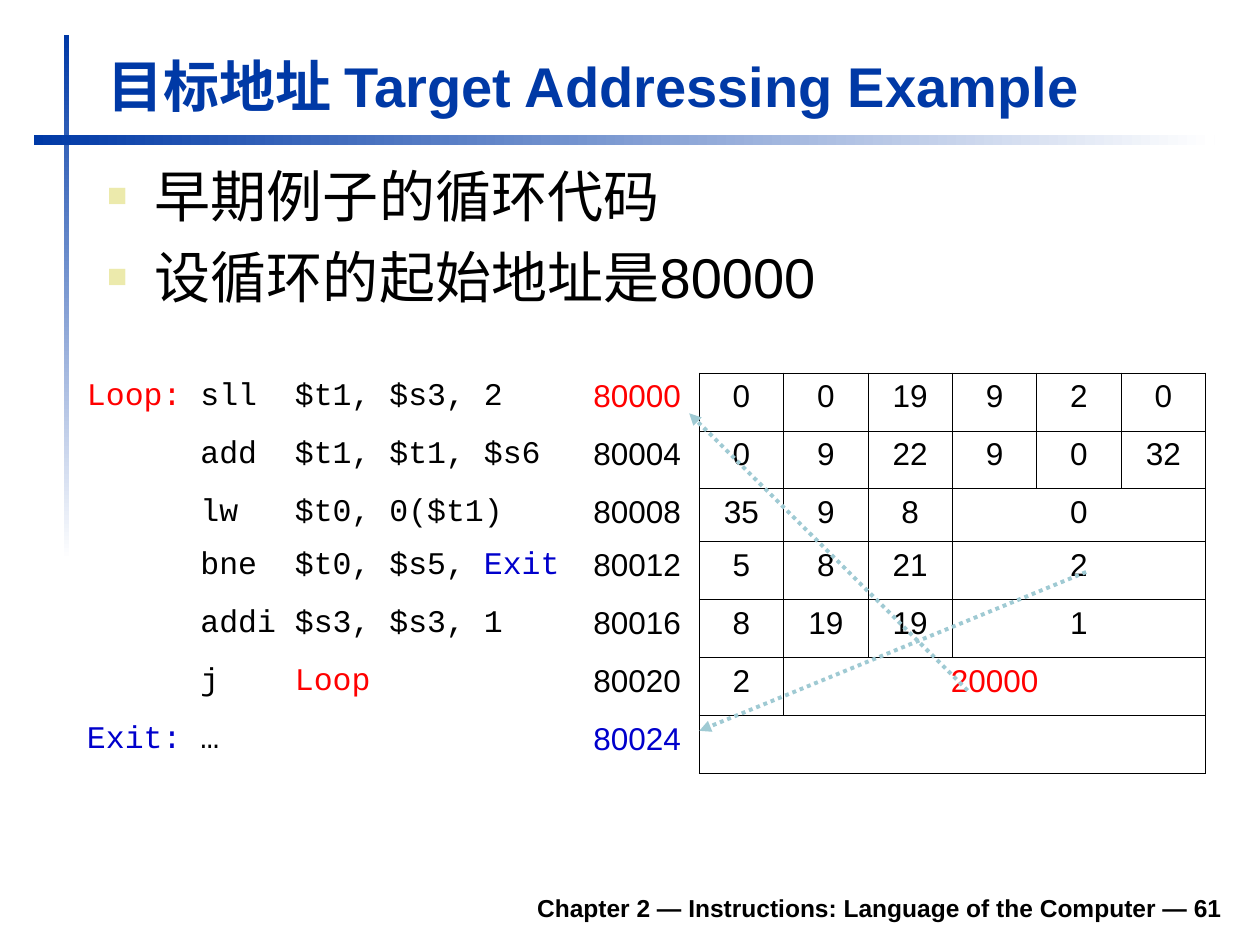
from lxml.etree import SubElement
from pptx import Presentation
from pptx.dml.color import RGBColor
from pptx.enum.dml import MSO_LINE_DASH_STYLE as Dash
from pptx.enum.shapes import MSO_CONNECTOR as Connector, MSO_SHAPE as Shape
from pptx.enum.text import MSO_ANCHOR as Anchor, MSO_AUTO_SIZE as AutoSize, PP_ALIGN as Align
from pptx.oxml.ns import qn
from pptx.util import Inches, Pt

BLUE = RGBColor(0x00, 0x39, 0xA6)
LABEL_BLUE = RGBColor(0x00, 0x00, 0xCC)
RED = RGBColor(0xFF, 0x00, 0x00)
BLACK = RGBColor(0x00, 0x00, 0x00)
WHITE = RGBColor(0xFF, 0xFF, 0xFF)
KHAKI = RGBColor(0xEC, 0xEA, 0xAC)
TEAL = RGBColor(0x9F, 0xCA, 0xD3)

TITLE_FONT = {"name": "Arial", "size": Pt(32), "bold": True}
BODY_FONT = {"name": "Arial", "size": Pt(32)}
FOOTER_FONT = {"name": "Arial", "size": Pt(14), "bold": True}
CODE_FONT = {"name": "Courier New", "size": Pt(18), "bold": False}
CELL_FONT = {"name": "Arial", "size": Pt(18), "bold": False}

CODE_WIDTH, ADDRESS_WIDTH, FIELD_WIDTH = 4.02, 0.94, 0.67
FIELD_COUNT = 6
ROW_HEIGHTS = [0.46, 0.46, 0.42, 0.46, 0.46, 0.46, 0.46]
FIRST_ADDRESS = 80000
ADDRESS_COLORS = {80000: RED, 80024: LABEL_BLUE}
INSTRUCTIONS = [
    ([("Loop:", RED), (" sll  $t1, $s3, 2", BLACK)], ["0", "0", "19", "9", "2", "0"]),
    ([("      add  $t1, $t1, $s6", BLACK)], ["0", "9", "22", "9", "0", "32"]),
    ([("      lw   $t0, 0($t1)", BLACK)], ["35", "9", "8", "0"]),
    ([("      bne  $t0, $s5, ", BLACK), ("Exit", LABEL_BLUE)], ["5", "8", "21", "2"]),
    ([("      addi $s3, $s3, 1", BLACK)], ["8", "19", "19", "1"]),
    ([("      j    ", BLACK), ("Loop", RED)], ["2", "20000"]),
    ([("Exit:", LABEL_BLUE), (" …", BLACK)], [""]),
]


def add_span(para, text, color, font_format):
    span = para.add_run()
    span.text = text
    for name, value in font_format.items():
        setattr(span.font, name, value)
    span.font.color.rgb = color


def place(shape, box):
    for name, value in zip(("left", "top", "width", "height"), box):
        setattr(shape, name, Inches(value))


def format_frame(frame, anchor):
    settings = {"word_wrap": True, "auto_size": AutoSize.NONE, "vertical_anchor": anchor}
    for name, value in settings.items():
        setattr(frame, name, value)


def add_bar(page, box, angle):
    bar = page.shapes.add_shape(Shape.RECTANGLE, *map(Inches, box))
    bar.shadow.inherit = False
    bar.line.fill.background()
    bar.fill.gradient()
    bar.fill.gradient_angle = angle
    for stop, color in zip(bar.fill.gradient_stops, (BLUE, WHITE)):
        stop.color.rgb = color


def fill_title(page, box):
    title = page.shapes.title
    place(title, box)
    format_frame(title.text_frame, Anchor.BOTTOM)
    para = title.text_frame.paragraphs[0]
    para.alignment = Align.LEFT
    add_span(para, "目标地址 Target Addressing Example", BLUE, TITLE_FONT)


def set_bullet(para):
    properties = para._p.get_or_add_pPr()
    properties.set("marL", str(Inches(0.38)))
    properties.set("indent", str(-Inches(0.38)))
    color = SubElement(properties, qn("a:buClr"))
    SubElement(color, qn("a:srgbClr"), val=str(KHAKI))
    SubElement(properties, qn("a:buSzPct"), val="60000")
    SubElement(properties, qn("a:buFont"), typeface="Arial")
    SubElement(properties, qn("a:buChar"), char="■")


def fill_body(page, box):
    body = page.placeholders[1]
    place(body, box)
    frame = body.text_frame
    format_frame(frame, Anchor.TOP)
    for index, text in enumerate(["早期例子的循环代码", "设循环的起始地址是80000"]):
        para = frame.add_paragraph() if index else frame.paragraphs[0]
        set_bullet(para)
        para.space_before = Pt(8 if index else 0)
        add_span(para, text, BLACK, BODY_FONT)


def add_footer(page, box):
    frame = page.shapes.add_textbox(*map(Inches, box)).text_frame
    format_frame(frame, Anchor.BOTTOM)
    para = frame.paragraphs[0]
    para.alignment = Align.RIGHT
    add_span(para, "Chapter 2 — Instructions: Language of the Computer — 61", BLACK, FOOTER_FONT)


def set_borders(cell, colors):
    properties = cell._tc.get_or_add_tcPr()
    for side, color in zip("LRTB", colors):
        line = SubElement(properties, qn(f"a:ln{side}"), w=str(Pt(0.45)))
        fill = SubElement(line, qn("a:solidFill"))
        SubElement(fill, qn("a:srgbClr"), val=str(color))
    cell.fill.background()


def fill_row(table, row, code, fields):
    address = FIRST_ADDRESS + 4 * row
    for column in range(2 + FIELD_COUNT):
        right = WHITE if column == 0 else BLACK
        other = WHITE if column < 2 else BLACK
        left = BLACK if column >= 2 else WHITE
        set_borders(table.cell(row, column), (left, right, other, other))
    for text, color in code:
        add_span(table.cell(row, 0).text_frame.paragraphs[0], text, color, CODE_FONT)
    add_span(table.cell(row, 1).text_frame.paragraphs[0], str(address),
             ADDRESS_COLORS.get(address, BLACK), CELL_FONT)
    last = 1 + len(fields)
    if len(fields) < FIELD_COUNT:
        table.cell(row, last).merge(table.cell(row, 1 + FIELD_COUNT))
    for column, text in enumerate(fields, start=2):
        if text:
            para = table.cell(row, column).text_frame.paragraphs[0]
            para.alignment = Align.CENTER
            add_span(para, text, RED if text == "20000" else BLACK, CELL_FONT)


def add_instruction_table(page, left, top):
    widths = [CODE_WIDTH, ADDRESS_WIDTH] + [FIELD_WIDTH] * FIELD_COUNT
    box = (left, top, sum(widths), sum(ROW_HEIGHTS))
    table = page.shapes.add_table(len(ROW_HEIGHTS), len(widths), *map(Inches, box)).table
    table.first_row = table.horz_banding = False
    for column, width in zip(table.columns, widths):
        column.width = Inches(width)
    for row, height in zip(table.rows, ROW_HEIGHTS):
        row.height = Inches(height)
    for row, (code, fields) in enumerate(INSTRUCTIONS):
        fill_row(table, row, code, fields)


def add_jump_arrow(page, start, end):
    arrow = page.shapes.add_connector(Connector.STRAIGHT, *map(Inches, start + end))
    for name, value in {"width": Pt(2.25), "dash_style": Dash.ROUND_DOT}.items():
        setattr(arrow.line, name, value)
    arrow.line.color.rgb = TEAL
    SubElement(arrow.line._get_or_add_ln(), qn("a:tailEnd"), type="triangle")
    SubElement(arrow._element.spPr, qn("a:effectLst"))


def build_example_page(deck):
    page = deck.slides.add_slide(deck.slide_layouts[1])
    add_bar(page, (0.51, 0.28, 0.04, 4.17), 270)
    add_bar(page, (0.27, 1.07, 9.37, 0.08), 0)
    add_footer(page, (1.85, 6.98, 7.95, 0.39))
    fill_title(page, (0.75, 0.36, 9.03, 0.63))
    fill_body(page, (0.75, 1.23, 9.04, 1.34))
    add_instruction_table(page, 0.59, 2.96)
    add_jump_arrow(page, (7.68, 5.48), (5.47, 3.28))
    add_jump_arrow(page, (8.62, 4.54), (5.55, 5.8))


def main():
    deck = Presentation()
    deck.slide_width, deck.slide_height = Inches(10), Inches(7.5)
    build_example_page(deck)
    deck.save("out.pptx")


if __name__ == "__main__":
    main()
